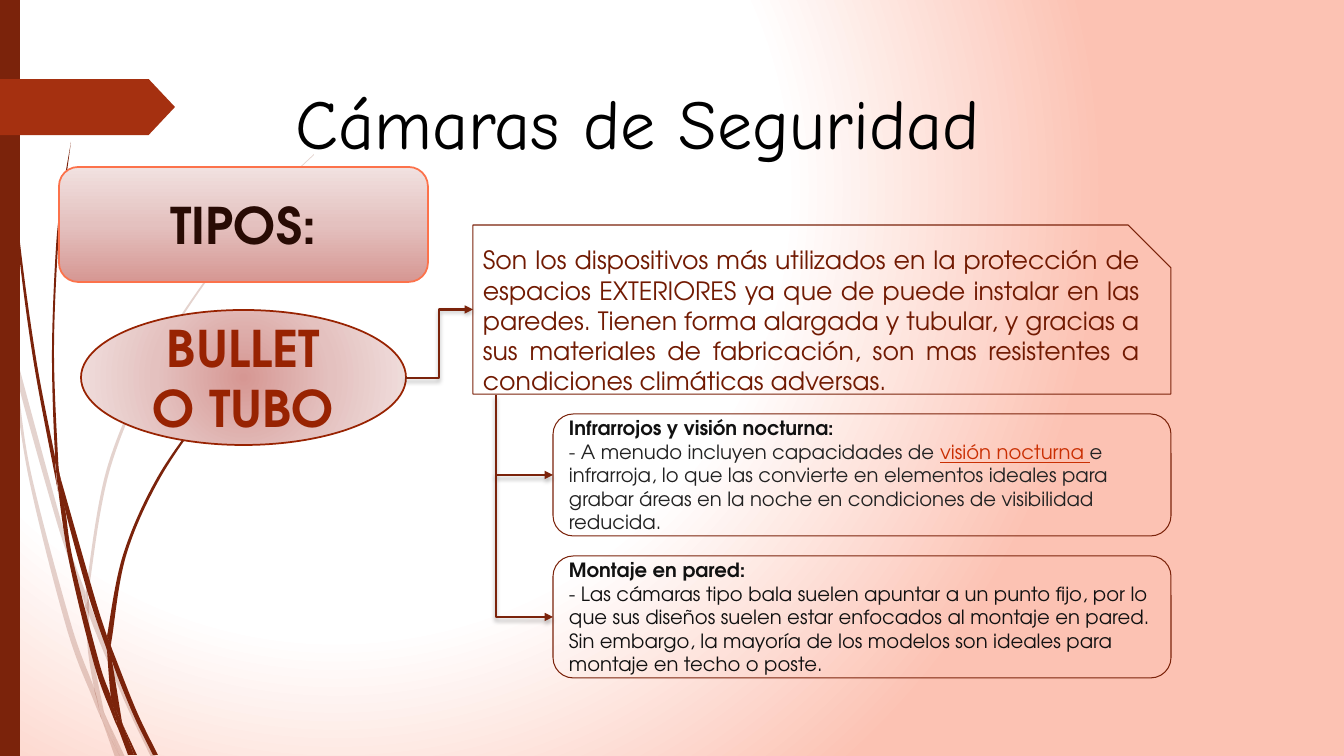
from pptx import Presentation
from pptx.dml.color import RGBColor
from pptx.enum.shapes import MSO_CONNECTOR, MSO_SHAPE
from pptx.enum.text import MSO_ANCHOR, PP_ALIGN
from pptx.oxml import parse_xml
from pptx.oxml.ns import nsdecls, qn
from pptx.util import Pt

TITLE = "Cámaras de Seguridad"
BODY_FONT = "TeX Gyre Adventor"
DARK, ACCENT = "7B230B", "982302"
ROSE = [(0, "D69793"), (50, "E4C1BF"), (100, "F1E1E0")]
BACKDROP = [(58, "FFFFFF"), (100, "FCC2B3")]
LINEAR = '<a:lin ang="16200000" scaled="0"/>'

DESCRIPTION = (
    "Son los dispositivos más utilizados en la protección de espacios EXTERIORES "
    "ya que de puede instalar en las paredes. Tienen forma alargada y tubular, y gracias "
    "a sus materiales de fabricación, son mas resistentes a condiciones climáticas adversas."
)
FEATURES = [
    ("Infrarrojos y visión nocturna:", [
        ("- A menudo incluyen capacidades de ", "222222", False),
        ("visión nocturna ", "CA2F03", True),
        ("e infrarroja, lo que las convierte en elementos ideales para grabar áreas "
         "en la noche en condiciones de visibilidad reducida.", "222222", False),
    ]),
    ("Montaje en pared:", [
        ("- Las cámaras tipo bala suelen apuntar a un punto fijo, por lo que sus diseños "
         "suelen estar enfocados al montaje en pared. Sin embargo, la mayoría de los modelos "
         "son ideales para montaje en techo o poste.", "111111", False),
    ]),
]

PALE_WISPS = [
    ([(0, 284), (9, 325), (11, 353)], [(10, 347), (0, 301)]),
    ([(14, 348), (17, 379), (58, 526), (85, 604)], [(85, 591), (62, 524), (14, 348)]),
    ([(89, 601), (89, 615), (124, 700), (151, 757)],
     [(156, 757), (128, 698), (93, 612), (89, 601)]),
    ([(106, 717), (120, 757)], [(125, 757), (106, 717)]),
    ([(11, 353), (28, 474), (66, 626), (93, 699), (102, 720)],
     [(100, 713), (94, 688), (71, 624), (31, 473), (17, 379), (11, 353)]),
    ([(85, 604), (88, 651), (94, 688), (97, 698), (106, 717)],
     [(104, 712), (92, 651), (89, 615), (89, 613), (85, 604)]),
    ([(89, 601), (89, 589), (111, 466), (161, 352), (231, 247), (270, 200), (292, 176),
      (314, 155)],
     [(314, 154), (291, 176), (270, 199), (230, 246), (159, 351), (108, 465), (86, 589),
      (86, 591), (89, 601)]),
    ([(102, 720), (115, 757)], [(120, 757), (102, 720)]),
    ([(89, 601), (89, 615)], [(89, 613), (85, 604), (86, 591), (89, 601)]),
    ([(94, 688), (100, 713), (102, 720), (120, 757)], [(106, 717), (97, 698), (94, 688)]),
]
DARK_WISPS = [
    ([(3, 0), (4, 48), (7, 111), (17, 235), (33, 358), (56, 481), (57, 485)],
     [(55, 461), (55, 457), (36, 358), (19, 234), (8, 110), (5, 48), (4, 0)]),
    ([(60, 476), (65, 509), (89, 597), (107, 650)], [(107, 636), (94, 595), (60, 476)]),
    ([(111, 646), (112, 661), (133, 714), (153, 755)],
     [(158, 755), (137, 712), (114, 654), (111, 646)]),
    ([(57, 481), (69, 561), (94, 664), (112, 714), (118, 728)],
     [(117, 723), (111, 697), (99, 662), (73, 560), (65, 509), (57, 481)]),
    ([(71, 142), (62, 195), (56, 247), (52, 352), (55, 453), (60, 476)],
     [(60, 476), (58, 457), (54, 352), (58, 247), (64, 195), (71, 142)]),
    ([(123, 725), (134, 755)], [(137, 755), (123, 725)]),
    ([(55, 453), (60, 476), (65, 509)], [(57, 481), (55, 457), (55, 453)]),
    ([(262, 347), (247, 361), (233, 376), (206, 408), (157, 478), (123, 555), (107, 636)],
     [(111, 646), (112, 638), (126, 556), (159, 480), (207, 409), (233, 377), (247, 362),
      (263, 347)]),
    ([(118, 728), (128, 755)], [(132, 755), (118, 728)]),
    ([(107, 650), (111, 697), (117, 712), (123, 725)],
     [(122, 722), (112, 661), (110, 656), (107, 650)]),
    ([(107, 636), (107, 650)], [(110, 656), (112, 661), (111, 646), (107, 636)]),
    ([(111, 697), (117, 723), (118, 728), (131, 755)],
     [(134, 755), (123, 725), (117, 712), (111, 697)]),
]


def px(n):
    return round(n * 914400 / 100.8)


def rgb(color):
    return RGBColor.from_string(color)


def radial(right, bottom):
    return (f'<a:path path="circle"><a:fillToRect l="50000" t="50000" '
            f'r="{right}" b="{bottom}"/></a:path>')


def set_gradient(fill, owner, stops, direction):
    fill.gradient()
    grad = next(owner.iter(qn("a:gradFill")))
    gs = "".join(f'<a:gs pos="{pos * 1000}"><a:srgbClr val="{c}"/></a:gs>' for pos, c in stops)
    grad.getparent().replace(grad, parse_xml(
        f'<a:gradFill {nsdecls("a")} rotWithShape="1"><a:gsLst>{gs}</a:gsLst>'
        f'{direction}</a:gradFill>'))


def add_box(kind, x, y, w, h, fill=None, line=None, width=1.25):
    sp = s.shapes.add_shape(kind, px(x), px(y), px(w), px(h))
    sp.shadow.inherit = False
    if fill:
        sp.fill.solid()
        sp.fill.fore_color.rgb = rgb(fill)
    else:
        sp.fill.background()
    if line:
        sp.line.color.rgb = rgb(line)
        sp.line.width = Pt(width)
    else:
        sp.line.fill.background()
    return sp


def style(r, size, color, bold=False, underline=False, font=BODY_FONT):
    r.font.name, r.font.size = font, Pt(size)
    r.font.color.rgb = rgb(color)
    r.font.bold, r.font.underline = bold, underline


def put_text(sp, text, size, color, bold=False, align=PP_ALIGN.CENTER):
    tf = sp.text_frame
    tf.word_wrap, tf.vertical_anchor = True, MSO_ANCHOR.MIDDLE
    tf.text = text
    p = tf.paragraphs[0]
    p.alignment = align
    style(p.runs[0], size, color, bold)
    return tf


def curve(edge):
    padded = [edge[0], *edge, edge[-1]]
    for a, b, c, d in zip(padded, padded[1:], padded[2:], padded[3:]):
        yield tuple(q + (r - o) / 6 for o, q, r in zip(a, b, c))
        yield tuple(r - (u - q) / 6 for q, r, u in zip(b, c, d))
        yield c


def add_wisp(down, up, alpha):
    points = [*curve(down), *curve([down[-1], up[0]]), *curve(up)]
    builder = s.shapes.build_freeform(px(down[0][0]), px(down[0][1]))
    builder.add_line_segments([(px(x), px(y)) for x, y in points])
    sp = builder.convert_to_shape()
    lines = list(sp.element.spPr.iter(qn("a:lnTo")))
    for i in range(0, len(lines), 3):
        bezier = parse_xml(f'<a:cubicBezTo {nsdecls("a")}/>')
        lines[i].addprevious(bezier)
        for line in lines[i:i + 3]:
            bezier.append(line[0])
            line.getparent().remove(line)
    sp.shadow.inherit = False
    sp.fill.solid()
    sp.fill.fore_color.rgb = rgb(DARK)
    sp.line.fill.background()
    clr = next(sp.element.spPr.iter(qn("a:srgbClr")))
    clr.append(parse_xml(f'<a:alpha {nsdecls("a")} val="{alpha * 1000}"/>'))


def add_arrow(x1, y1, x2, y2):
    c = s.shapes.add_connector(MSO_CONNECTOR.ELBOW, px(x1), px(y1), px(x2), px(y2))
    c.line.color.rgb = rgb(DARK)
    c.line.width = Pt(1.75)
    c.line._get_or_add_ln().append(parse_xml(f'<a:tailEnd {nsdecls("a")} type="triangle"/>'))
    c.element.spPr.append(parse_xml(
        f'<a:effectLst {nsdecls("a")}><a:outerShdw blurRad="{Pt(3)}" dist="{Pt(2)}" '
        f'dir="5400000" rotWithShape="0"><a:srgbClr val="000000"><a:alpha val="25000"/>'
        f'</a:srgbClr></a:outerShdw></a:effectLst>'))
    return c


def add_branch(x1, y1, x2, y2):
    cx, cy = (x1 + x2) / 2, (y1 + y2) / 2
    half_w, half_h = (y2 - y1) / 2, (x2 - x1) / 2
    c = add_arrow(cx + half_w, cy - half_h, cx - half_w, cy + half_h)
    c.element.spPr.find(qn("a:prstGeom")).set("prst", "bentConnector2")
    c.element.spPr.find(qn("a:xfrm")).set("rot", "16200000")


prs = Presentation()
prs.slide_width, prs.slide_height = px(1344), px(756)
s = prs.slides.add_slide(prs.slide_layouts[5])
set_gradient(s.background.fill, s.element, BACKDROP, radial(100000, 100000))

for wisps, alpha in ((PALE_WISPS, 20), (DARK_WISPS, 100)):
    for down, up in wisps:
        add_wisp(down, up, alpha)
add_box(MSO_SHAPE.RECTANGLE, 0, 0, 20, 756, DARK)
add_box(MSO_SHAPE.PENTAGON, 0, 79, 175, 56, "A53010").adjustments[0] = 0.47

title = s.shapes.title
title.left, title.top, title.width, title.height = px(285), px(74), px(774), px(115)
tf = put_text(title, TITLE, 50, "000000", align=PP_ALIGN.LEFT)
tf.vertical_anchor = MSO_ANCHOR.TOP
tf.paragraphs[0].runs[0].font.name = "Comic Neue"

types = add_box(MSO_SHAPE.ROUNDED_RECTANGLE, 59, 167, 369, 115, line="FC724B")
set_gradient(types.fill, types.element, ROSE, LINEAR)
put_text(types, "TIPOS:", 36, "280B04", True)

bullet = add_box(MSO_SHAPE.OVAL, 81, 310, 325, 135, line=ACCENT)
set_gradient(bullet.fill, bullet.element, ROSE, radial(50000, 50000))
tf = put_text(bullet, "BULLET O TUBO", 36, ACCENT, True)
tf.margin_left = tf.margin_right = px(14)

description = add_box(MSO_SHAPE.SNIP_1_RECTANGLE, 473, 225, 698, 169, line=DARK, width=0.75)
description.adjustments[0] = 0.253
put_text(description, DESCRIPTION, 18, "711A02", align=PP_ALIGN.JUSTIFY)

add_arrow(405, 378, 473, 309).end_connect(description, 1)

feature_x, feature_y, feature_h, pitch = 553, 414, 122, 142
trunk_x, branch_y = 496, 395
for i, (heading, parts) in enumerate(FEATURES):
    y = feature_y + i * pitch
    box = add_box(MSO_SHAPE.ROUNDED_RECTANGLE, feature_x, y, 618, feature_h, line=DARK, width=0.75)
    tf = put_text(box, heading, 14, "111111", True, PP_ALIGN.LEFT)
    p = tf.add_paragraph()
    p.alignment = PP_ALIGN.LEFT
    for text, color, underline in parts:
        r = p.add_run()
        r.text = text
        style(r, 14, color, underline=underline)
    middle = y + feature_h // 2
    add_branch(trunk_x, branch_y, feature_x, middle)
    branch_y = middle

prs.save("out.pptx")
